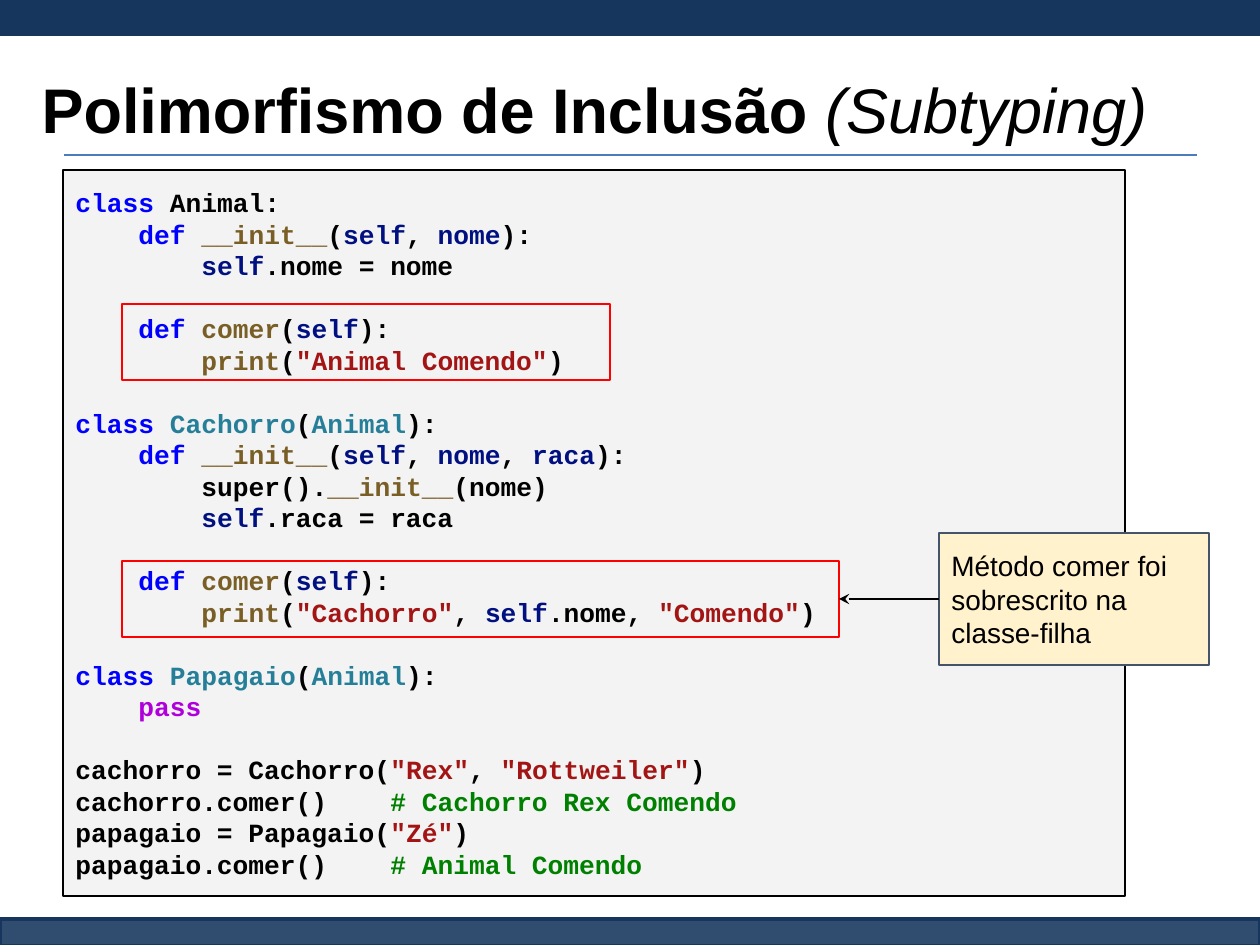
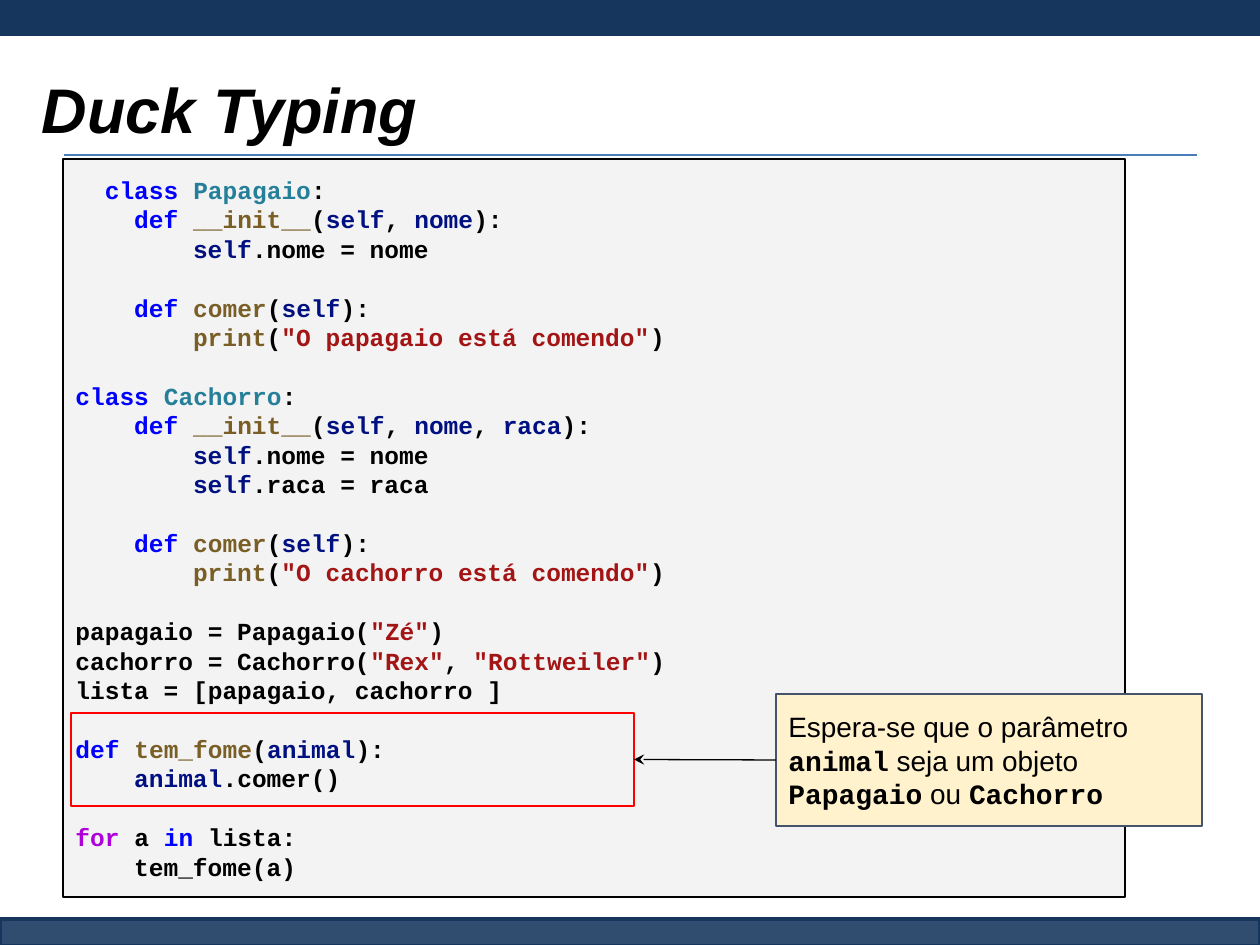
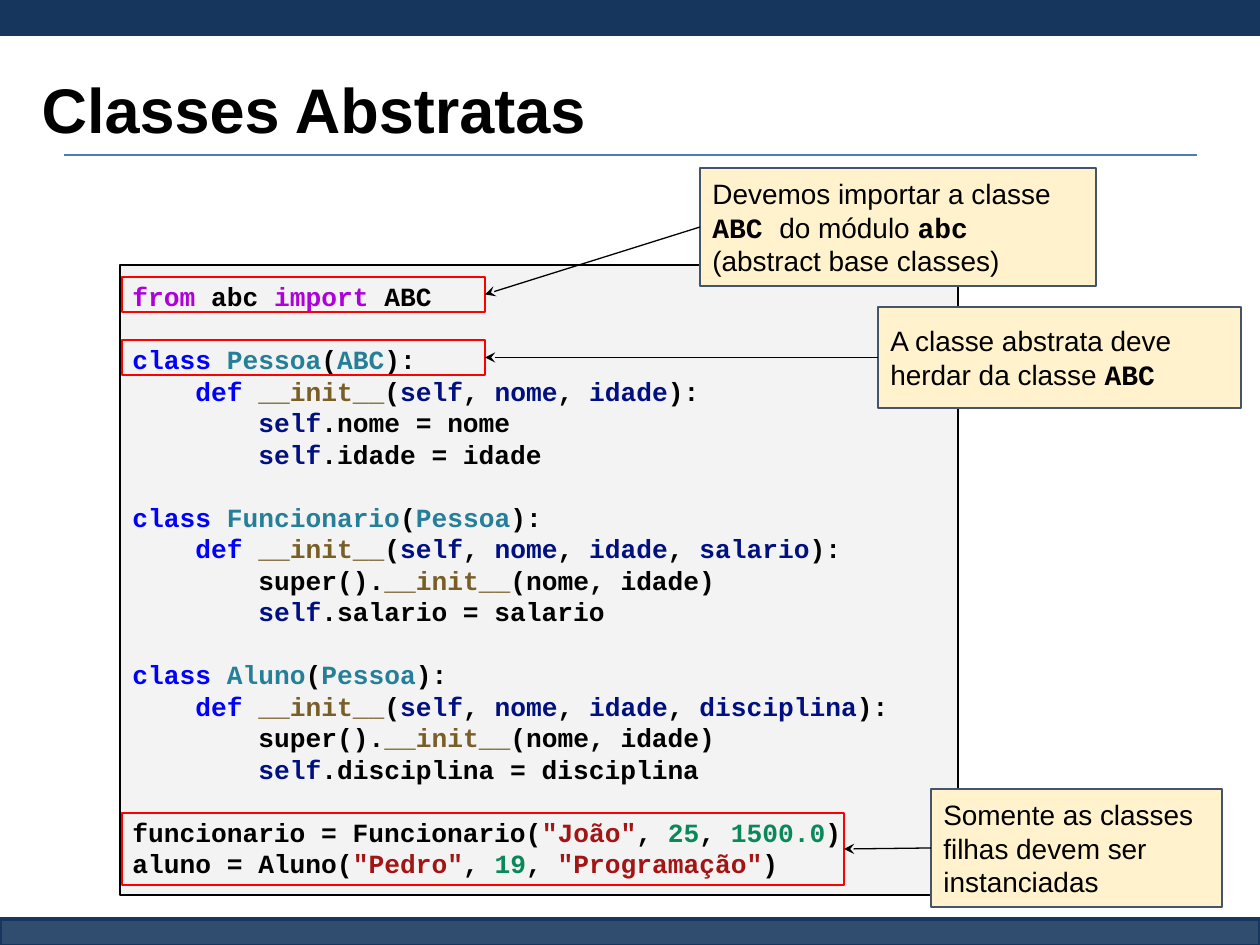
from pptx import Presentation
from pptx.dml.color import RGBColor
from pptx.enum.shapes import MSO_CONNECTOR as CONNECTOR, MSO_SHAPE as SHAPE
from pptx.enum.text import MSO_ANCHOR as ANCHOR, MSO_AUTO_SIZE as AUTO, PP_ALIGN as ALIGN
from pptx.oxml.ns import qn
from pptx.util import Emu, Inches, Pt
from lxml.etree import SubElement

PX = Inches(1) / 126
NAVY, RULE, BLACK = "17365D", "4A7DBA", "000000"
PAPER, NOTE, NOTE_EDGE, RED = "F3F3F3", "FFF2CC", "44546A", "FF0000"
SANS, MONO = "Arial", "Courier New"
SYNTAX = {
    "": BLACK,
    "k": "0000FF",
    "f": "795E26",
    "v": "001080",
    "c": "267F99",
    "s": "A31515",
    "p": "AF00DB",
    "n": "09885A",
    "g": "008000",
}
LEADING = 1.2
CHAR_WIDTH = 0.6
COMMENT_COLUMN = 32


def px(value):
    return Emu(round(value * PX))


def rgb(color):
    return RGBColor.from_string(color)


def rectangle(slide, box, fill=None, edge=None, weight=0.75):
    rect = slide.shapes.add_shape(SHAPE.RECTANGLE, *map(px, box))
    rect.shadow.inherit = False
    if fill:
        rect.fill.solid()
        rect.fill.fore_color.rgb = rgb(fill)
    else:
        rect.fill.background()
    if edge:
        rect.line.color.rgb = rgb(edge)
        rect.line.width = Pt(weight)
    else:
        rect.line.fill.background()
    return rect


def straight(slide, start, end, color):
    line = slide.shapes.add_connector(CONNECTOR.STRAIGHT, *map(px, start + end))
    line.line.color.rgb = rgb(color)
    line.line.width = Pt(0.75)
    SubElement(line.element.spPr, qn("a:effectLst"))
    return line


def marked(text):
    plain, *chunks = text.split("{")
    if plain:
        yield "", plain
    for chunk in chunks:
        token, rest = chunk.split("}")
        yield tuple(token.split("|"))
        if rest:
            yield "", rest


def add_run(paragraph, text, size, font=SANS, color=BLACK, bold=False, italic=False):
    run = paragraph.add_run()
    run.text = text
    run.font.name = font
    run.font.size = Pt(size)
    run.font.color.rgb = rgb(color)
    run.font.bold = bold
    run.font.italic = italic


def text_frame(shape):
    frame = shape.text_frame
    frame.word_wrap = True
    frame.auto_size = AUTO.NONE
    frame.vertical_anchor = ANCHOR.MIDDLE
    frame.margin_left = frame.margin_right = Inches(0.1)
    frame.margin_top = frame.margin_bottom = Inches(0.1)
    return frame


def paragraphs(frame, lines, size):
    for number, line in enumerate(lines):
        paragraph = frame.add_paragraph() if number else frame.paragraphs[0]
        paragraph.alignment = ALIGN.LEFT
        paragraph.line_spacing = Pt(LEADING * size)
        yield paragraph, line


def code_panel(slide, box, size, source):
    frame = text_frame(rectangle(slide, box, PAPER, BLACK))
    lines = source.strip("\n").split("\n")
    after_gap = [number and not lines[number - 1] for number, line in enumerate(lines) if line]
    char = Pt(CHAR_WIDTH * size)
    written = paragraphs(frame, filter(None, lines), size)
    for (paragraph, line), gap in zip(written, after_gap):
        if gap:
            paragraph.space_before = Pt(LEADING * size)
        code = line.lstrip()
        properties = paragraph._p.get_or_add_pPr()
        properties.set("marL", str(char * (len(line) - len(code))))
        properties.set("indent", "0")
        if "\t" in code:
            stops = SubElement(properties, qn("a:tabLst"))
            SubElement(stops, qn("a:tab"), pos=str(char * COMMENT_COLUMN), algn="l")
        for kind, text in marked(code):
            add_run(paragraph, text, size, MONO, SYNTAX[kind], bold=True)


def highlight(slide, box):
    rectangle(slide, box, edge=RED, weight=1.5)


def annotation(slide, target, box, *lines):
    highlight(slide, target)
    frame = text_frame(rectangle(slide, box, NOTE, NOTE_EDGE))
    for paragraph, line in paragraphs(frame, lines, 16):
        for kind, text in marked(line):
            code = kind == "m"
            add_run(paragraph, text, 16, MONO if code else SANS, bold=code)
    tip = (target[0] + target[2], target[1] + target[3] / 2)
    tail = (box[0], box[1] + box[3] / 2)
    arrow = straight(slide, tip, tail, BLACK)
    SubElement(arrow.line._get_or_add_ln(), qn("a:headEnd"), type="stealth")


def style_layout(layout, draft):
    footer = rectangle(draft, (0, 919, 1260, 27), NAVY, NAVY, 2)
    fill_color = footer.element.spPr.find(qn("a:solidFill"))[0]
    SubElement(fill_color, qn("a:alpha"), val="89000")
    header = rectangle(draft, (0, 0, 1260, 36), NAVY)
    rule = straight(draft, (64, 155), (1197, 155), RULE)
    for position, part in enumerate((footer, header, rule), start=2):
        layout.shapes.element.insert(position, part.element)
    title = layout.placeholders[0]
    title.left, title.top, title.width, title.height = map(px, (29, 35, 1201, 147))
    text_frame(title)


def title_text(slide, *parts):
    paragraph = text_frame(slide.shapes.title).paragraphs[0]
    paragraph.alignment = ALIGN.LEFT
    for text, bold, italic in parts:
        add_run(paragraph, text, 36, bold=bold, italic=italic)


def inclusion_slide(slide):
    title_text(slide, ("Polimorfismo de Inclusão", True, False), (" (Subtyping)", False, True))
    code_panel(slide, (63, 170, 1062, 726), 15, """
{k|class} Animal:
    {k|def }{f|__init__}({v|self}, {v|nome}):
        {v|self}.nome = nome

    {k|def }{f|comer}({v|self}):
        {f|print}({s|"Animal Comendo"})

{k|class }{c|Cachorro}({c|Animal}):
    {k|def }{f|__init__}({v|self}, {v|nome}, {v|raca}):
        super().{f|__init__}(nome)
        {v|self}.raca = raca

    {k|def }{f|comer}({v|self}):
        {f|print}({s|"Cachorro"}, {v|self}.nome, {s|"Comendo"})

{k|class }{c|Papagaio}({c|Animal}):
    {p|pass}

cachorro = Cachorro({s|"Rex"}, {s|"Rottweiler"})
cachorro.comer()\t{g|# Cachorro Rex Comendo}
papagaio = Papagaio({s|"Zé"})
papagaio.comer()\t{g|# Animal Comendo}
""")
    annotation(slide, (122, 561, 717, 76), (939, 533, 270, 132),
               "Método comer foi", "sobrescrito na classe-filha")
    highlight(slide, (122, 304, 488, 76))


def duck_typing_slide(slide):
    title_text(slide, ("Duck Typing", True, True))
    code_panel(slide, (63, 159, 1062, 738), 14, """
  {k|class }{c|Papagaio}:
    {k|def }{f|__init__}({v|self}, {v|nome}):
        {v|self}.nome = nome

    {k|def }{f|comer}({v|self}):
        {f|print}({s|"O papagaio está comendo"})

{k|class }{c|Cachorro}:
    {k|def }{f|__init__}({v|self}, {v|nome}, {v|raca}):
        {v|self}.nome = nome
        {v|self}.raca = raca

    {k|def }{f|comer}({v|self}):
        {f|print}({s|"O cachorro está comendo"})

papagaio = Papagaio({s|"Zé"})
cachorro = Cachorro({s|"Rex"}, {s|"Rottweiler"})
lista = [papagaio, cachorro ]

{k|def }{f|tem_fome}({v|animal}):
    {v|animal}.comer()

{p|for} a {k|in} lista:
    tem_fome(a)
""")
    annotation(slide, (71, 713, 563, 93), (776, 694, 426, 132),
               "Espera-se que o parâmetro {m|animal} seja um objeto {m|Papagaio} ou {m|Cachorro}")


def abstract_slide(slide):
    title_text(slide, ("Classes Abstratas", True, False))
    code_panel(slide, (120, 265, 838, 630), 15, """
{p|from} abc {p|import} ABC

{k|class }{c|Pessoa}({c|ABC}):
    {k|def }{f|__init__}({v|self}, {v|nome}, {v|idade}):
        {v|self}.nome = nome
        {v|self}.idade = idade

{k|class }{c|Funcionario}({c|Pessoa}):
    {k|def }{f|__init__}({v|self}, {v|nome}, {v|idade}, {v|salario}):
        super().{f|__init__}(nome, idade)
        {v|self}.salario = salario

{k|class }{c|Aluno}({c|Pessoa}):
    {k|def }{f|__init__}({v|self}, {v|nome}, {v|idade}, {v|disciplina}):
        super().{f|__init__}(nome, idade)
        {v|self}.disciplina = disciplina

funcionario = Funcionario({s|"João"}, {n|25}, {n|1500.0})
aluno = Aluno({s|"Pedro"}, {n|19}, {s|"Programação"})
""")
    annotation(slide, (122, 340, 363, 35), (878, 307, 363, 101),
               "A classe abstrata deve herdar da classe {m|ABC}")
    annotation(slide, (122, 277, 363, 35), (700, 168, 396, 118),
               "Devemos importar a classe {m|ABC }do módulo {m|abc }(abstract base classes)")
    annotation(slide, (122, 813, 722, 72), (931, 789, 291, 118),
               "Somente as classes filhas devem ser instanciadas")


deck = Presentation()
deck.slide_width, deck.slide_height = Inches(10), Inches(7.5)
lesson = deck.slide_layouts[5]
inclusion, duck_typing, abstract = (deck.slides.add_slide(lesson) for _ in range(3))
style_layout(lesson, inclusion)
inclusion_slide(inclusion)
duck_typing_slide(duck_typing)
abstract_slide(abstract)
deck.save("out.pptx")
